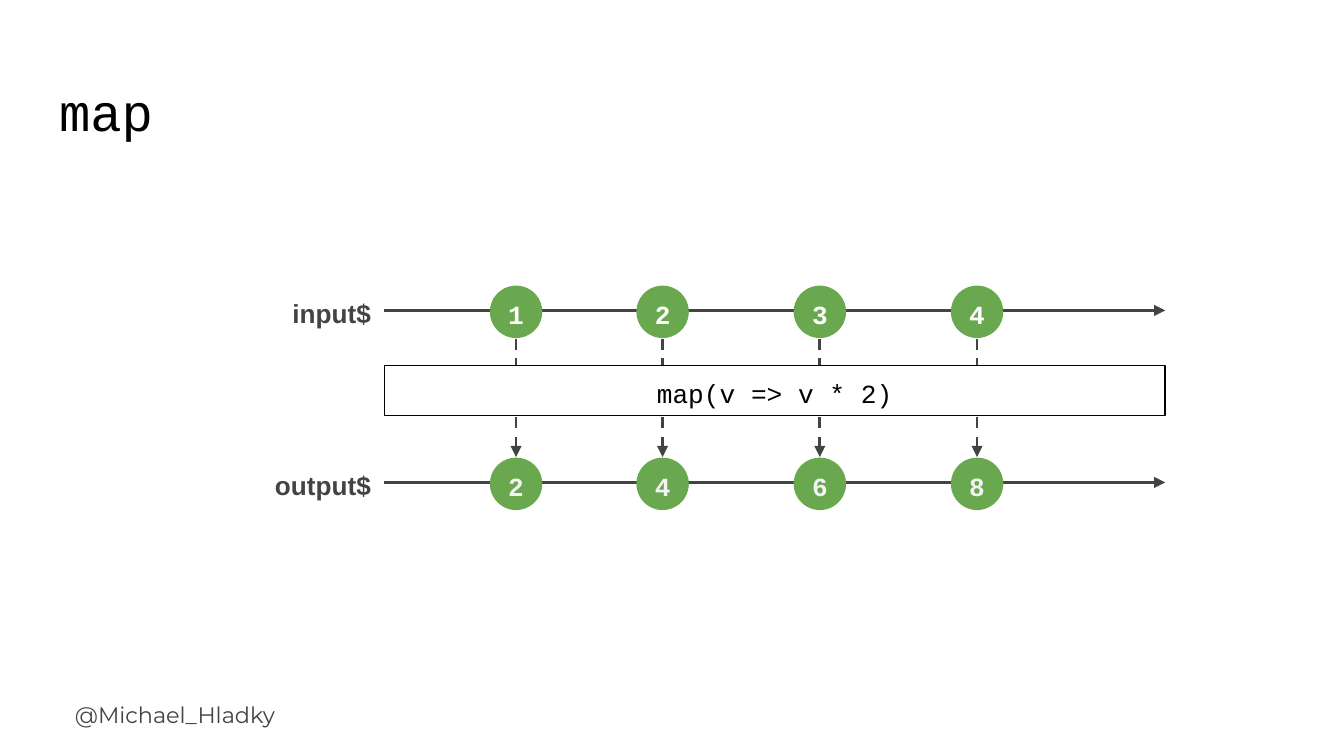
from lxml.etree import SubElement
from pptx import Presentation
from pptx.dml.color import RGBColor
from pptx.enum.dml import MSO_LINE
from pptx.enum.shapes import MSO_CONNECTOR, MSO_SHAPE
from pptx.enum.text import MSO_ANCHOR, MSO_AUTO_SIZE, PP_ALIGN
from pptx.oxml.ns import qn
from pptx.util import Inches, Pt

COLORS = {
    "ink": "434343",
    "black": "000000",
    "white": "FFFFFF",
    "pale": "F3F3F3",
    "marble": "6AA84F",
}
CODE_FONT = "Courier New"
MARBLE_SIZE = 0.39
MARBLE_DROP = 0.01  # marble centres sit just below the timeline
MARBLE_OFFSETS = [0.98, 2.07, 3.24, 4.41]  # centres along the timeline
STREAM_GAP = 1.28


def color(name):
    return RGBColor.from_string(COLORS[name])


def write(shape, text, font=CODE_FONT, size=14, ink="black", bold=False,
          align=PP_ALIGN.LEFT, anchor=MSO_ANCHOR.MIDDLE, spacing=1.15, inset=0.1):
    frame = shape.text_frame
    frame.word_wrap = True
    frame.auto_size = MSO_AUTO_SIZE.NONE
    frame.vertical_anchor = anchor
    frame.margin_left = frame.margin_right = Inches(inset)
    frame.margin_top = frame.margin_bottom = Inches(inset)
    paragraph = frame.paragraphs[0]
    paragraph.alignment = align
    paragraph.line_spacing = spacing
    run = paragraph.add_run()
    run.text = text
    run.font.name = font
    run.font.size = Pt(size)
    run.font.bold = bold
    run.font.color.rgb = color(ink)


def add_label(slide, left, top, width, height, text, **text_format):
    label = slide.shapes.add_textbox(
        Inches(left), Inches(top), Inches(width), Inches(height))
    write(label, text, **text_format)


def add_arrow(slide, x1, y1, x2, y2, dashed=False):
    arrow = slide.shapes.add_connector(
        MSO_CONNECTOR.STRAIGHT, Inches(x1), Inches(y1), Inches(x2), Inches(y2))
    arrow.line.color.rgb = color("ink")
    arrow.line.width = Pt(1.5)
    if dashed:
        arrow.line.dash_style = MSO_LINE.DASH
    SubElement(arrow.line._get_or_add_ln(), qn("a:tailEnd"), type="triangle")
    SubElement(arrow._element.spPr, qn("a:effectLst"))


def add_block(slide, kind, left, top, width, height, fill, outline=None):
    block = slide.shapes.add_shape(
        kind, Inches(left), Inches(top), Inches(width), Inches(height))
    block.shadow.inherit = False
    block.fill.solid()
    block.fill.fore_color.rgb = color(fill)
    if outline:
        block.line.color.rgb = color(outline)
        block.line.width = Pt(0.75)
    else:
        block.line.fill.background()
    return block


def add_title(slide, left, top, width, height):
    title = slide.shapes.title
    title.left, title.top = Inches(left), Inches(top)
    title.width, title.height = Inches(width), Inches(height)
    write(title, "map", size=28, anchor=MSO_ANCHOR.TOP, spacing=1)


def add_stream(slide, left, axis, width, name, values, ink):
    """Draw a named timeline with its marbles along the axis."""
    add_arrow(slide, left, axis, left + width, axis)
    add_label(slide, left - 2.4, axis - 0.25, 2.4, 0.5, name, font="Arial",
              ink="ink", bold=True, align=PP_ALIGN.RIGHT)
    for offset, value in zip(MARBLE_OFFSETS, values):
        marble = add_block(slide, MSO_SHAPE.OVAL, left + offset - MARBLE_SIZE / 2,
                           axis + MARBLE_DROP - MARBLE_SIZE / 2,
                           MARBLE_SIZE, MARBLE_SIZE, "marble")
        write(marble, str(value), ink=ink, bold=True,
              align=PP_ALIGN.CENTER, inset=0)


def add_marble_diagram(slide, left, top, width):
    input_axis = top + 0.19
    output_axis = input_axis + STREAM_GAP
    inputs = [1, 2, 3, 4]

    # Dashed arrows from each input to its output
    for offset in MARBLE_OFFSETS:
        x = left + offset
        add_arrow(slide, x, top + 0.4, x, top + STREAM_GAP, dashed=True)

    add_stream(slide, left, input_axis, width, "input$", inputs, "white")
    add_stream(slide, left, output_axis, width, "output$",
               [value * 2 for value in inputs], "pale")

    # Operator box across the arrows
    operator = add_block(slide, MSO_SHAPE.RECTANGLE, left, top + 0.6, width, 0.37,
                         "white", outline="black")
    write(operator, "map(v => v * 2)", align=PP_ALIGN.CENTER)


def main():
    prs = Presentation()
    prs.slide_width = Inches(10)
    prs.slide_height = prs.slide_width * 9 // 16
    slide = prs.slides.add_slide(prs.slide_layouts[5])

    add_title(slide, 0.34, 0.49, 8.63, 0.63)
    add_marble_diagram(slide, 2.86, 2.12, 5.81)

    # Footer
    add_label(slide, 0.46, 5.12, 2.24, 0.45, "@Michael_Hladky", font="Montserrat",
              size=12, ink="ink", anchor=MSO_ANCHOR.TOP, spacing=1)

    prs.save("out.pptx")


if __name__ == "__main__":
    main()
